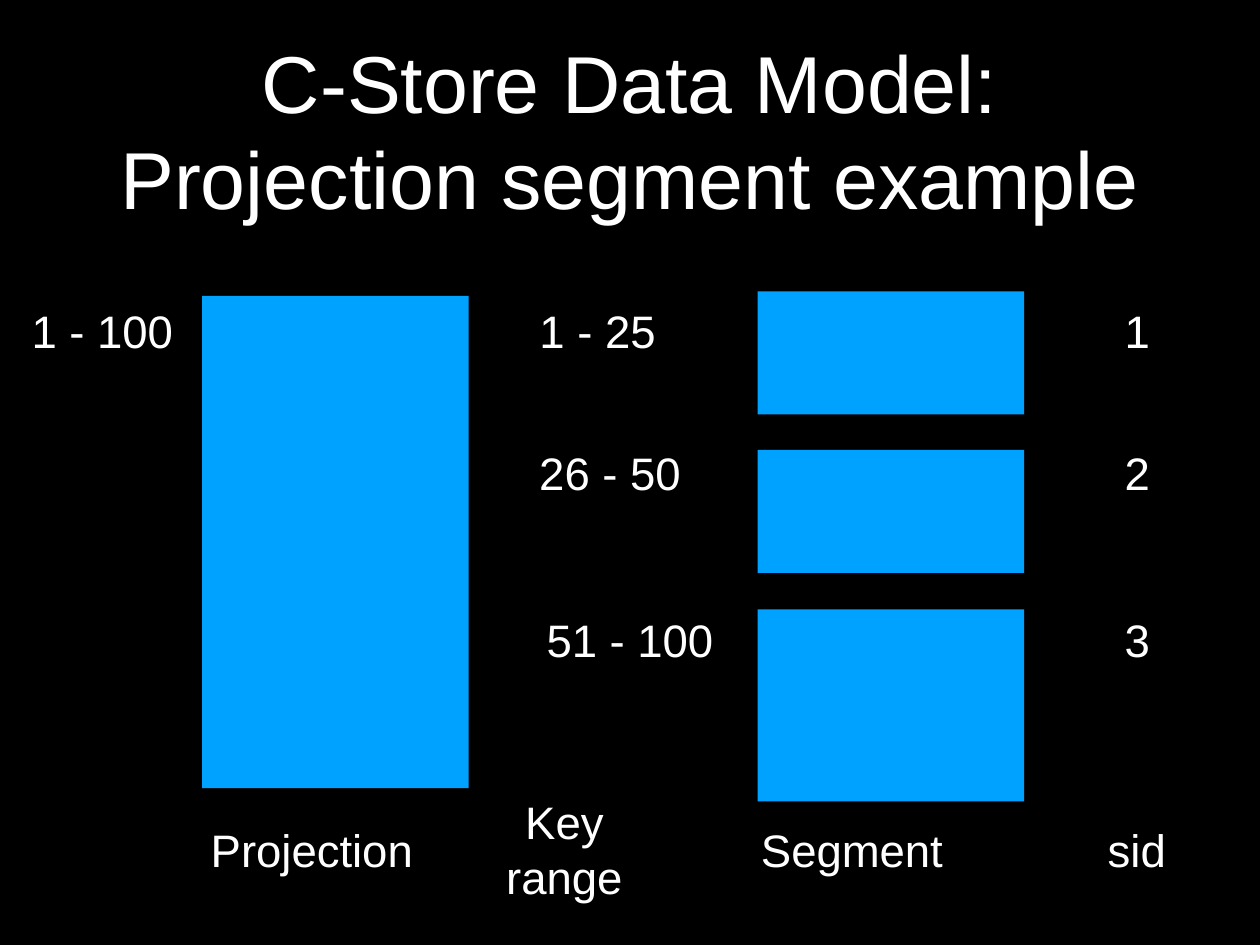
import pptx
import pptx.dml.color
import pptx.enum.shapes
import pptx.enum.text
import pptx.util
from dataclasses import dataclass

Inches = pptx.util.Inches


@dataclass(frozen=True)
class Theme:
    background: str = "000000"
    block: str = "00A2FF"
    text: str = "FFFFFF"
    font: str = "Arial"
    title_size: float = 65.6
    label_size: float = 37


theme = Theme()


def color(value):
    return pptx.dml.color.RGBColor.from_string(value)


def add_text(text, left, top, width, height=0.71, size=theme.label_size, wrap=False):
    """Add centred text, anchored in the middle of its box."""
    box = slide.shapes.add_textbox(Inches(left), Inches(top), Inches(width), Inches(height))
    tf = box.text_frame
    tf.word_wrap = wrap
    tf.vertical_anchor = pptx.enum.text.MSO_ANCHOR.MIDDLE
    tf.margin_left = tf.margin_right = tf.margin_top = tf.margin_bottom = Inches(0.06)
    tf.text = text
    p = tf.paragraphs[0]
    p.alignment = pptx.enum.text.PP_ALIGN.CENTER
    font = p.runs[0].font
    font.name = theme.font
    font.size = pptx.util.Pt(size)
    font.color.rgb = color(theme.text)


prs = pptx.Presentation()
prs.slide_width = Inches(14.22)
prs.slide_height = Inches(10.67)
slide = prs.slides.add_slide(prs.slide_layouts[6])
slide.background.fill.solid()
slide.background.fill.fore_color.rgb = color(theme.background)

add_text("C-Store Data Model: Projection segment example",
         1.04, 0.28, 12.14, 2.36, theme.title_size, wrap=True)

# Projection on the left, its three segments on the right: left, top, height
block_width = 3.01
blocks = [(2.28, 3.34, 5.56), (8.55, 3.29, 1.39), (8.55, 5.08, 1.39), (8.55, 6.88, 2.17)]
for left, top, height in blocks:
    sp = slide.shapes.add_shape(pptx.enum.shapes.MSO_SHAPE.RECTANGLE, Inches(left),
                                Inches(top), Inches(block_width), Inches(height))
    sp.shadow.inherit = False
    sp.fill.solid()
    sp.fill.fore_color.rgb = color(theme.block)
    sp.line.fill.background()

# Key range and sid of each segment: text, left, width, top
add_text("1 - 100", 0.28, 3.37, 1.75)
segments = [("1 - 25", 6.01, 1.47, 3.37), ("26 - 50", 6.01, 1.75, 4.98),
            ("51 - 100", 6.09, 2.04, 6.86)]
for sid, (key_range, left, width, top) in enumerate(segments, start=1):
    add_text(key_range, left, top, width)
    add_text(str(sid), 12.63, top, 0.41)

# Captions under the columns
caption_top = 9.23
for caption, left, width in [("Projection", 2.3, 2.44), ("Segment", 8.52, 2.19),
                             ("sid", 12.43, 0.8)]:
    add_text(caption, left, caption_top, width)
add_text("Key range", 5.62, 8.92, 1.5, height=1.33, wrap=True)

prs.save("out.pptx")
